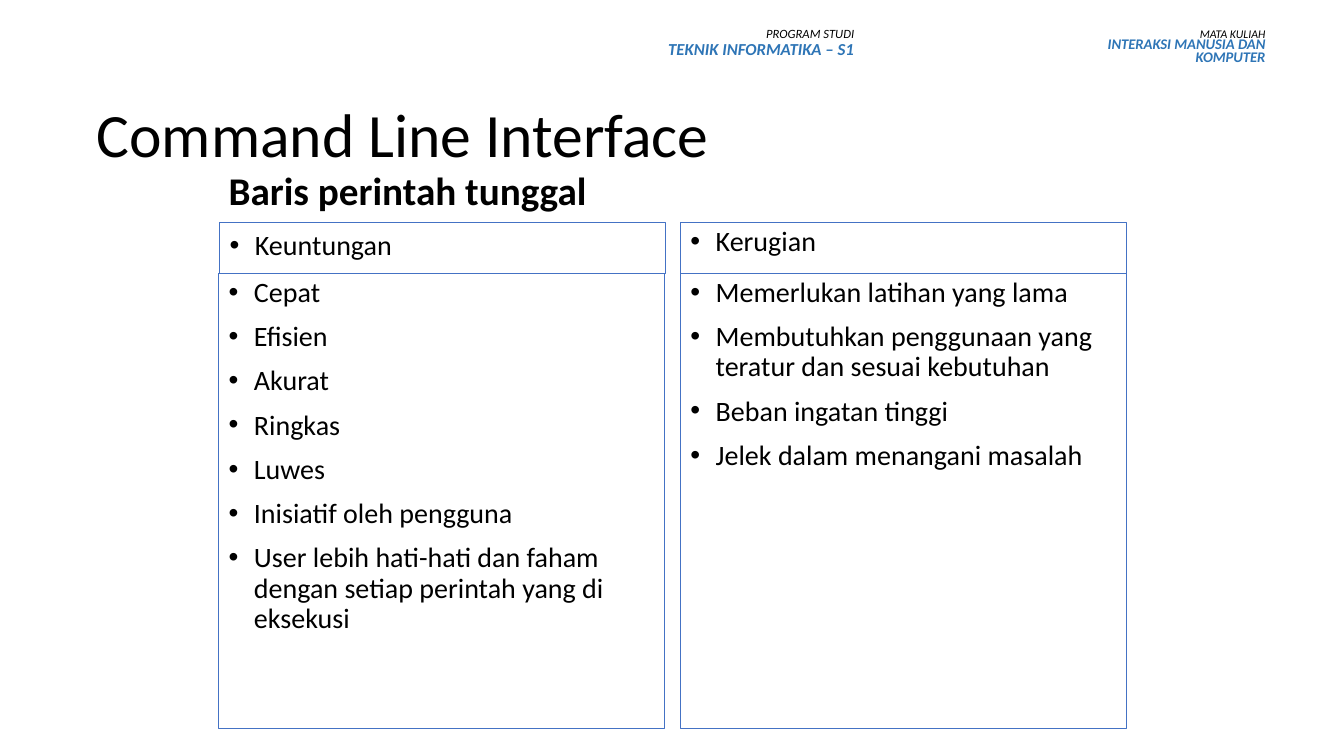
"""Build the Command Line Interface slide with its two bordered comparison columns."""
from dataclasses import dataclass
from typing import Any

from lxml.etree import SubElement
from pptx import Presentation
from pptx.dml.color import RGBColor
from pptx.enum.shapes import MSO_SHAPE
from pptx.enum.text import MSO_ANCHOR, PP_ALIGN
from pptx.oxml.ns import qn
from pptx.util import Inches, Pt

BLACK = "000000"
HEADER_BLUE = "2E75B6"
BORDER_BLUE = "4472C4"
COLUMN_WIDTH = 4.42
HEADING_TOP, HEADING_HEIGHT = 2.21, 0.5
LIST_HEIGHT = 4.52


@dataclass(frozen=True)
class Line:
    text: str
    size: float
    color: str = BLACK
    bold: bool = False
    italic: bool = False


@dataclass(frozen=True)
class Label:
    left: float
    top: float
    width: float
    height: float
    lines: tuple[Line, ...]
    spacing: float = 1.0
    anchor: MSO_ANCHOR = MSO_ANCHOR.TOP
    align: PP_ALIGN = PP_ALIGN.LEFT


@dataclass(frozen=True)
class Column:
    heading_left: float
    list_left: float
    heading: str
    heading_spacing: float
    items: tuple[str, ...]


def header(program: str, name: str, sizes: tuple[float, float]) -> tuple[Line, ...]:
    """Return the small caption and the bold blue name under it."""
    return (
        Line(program, sizes[0], italic=True),
        Line(name, sizes[1], HEADER_BLUE, bold=True, italic=True),
    )


LABELS = (
    Label(2.17, 1.58, 9, 0.67, (Line("Baris perintah tunggal", 28, bold=True),),
          0.9, MSO_ANCHOR.MIDDLE),
    Label(0.86, 0.82, 9, 1, (Line("Command Line Interface", 44),),
          anchor=MSO_ANCHOR.MIDDLE),
    Label(6.06, 0.22, 2.51, 0.56,
          header("PROGRAM STUDI", "TEKNIK INFORMATIKA – S1", (9, 12)),
          0.9, align=PP_ALIGN.RIGHT),
    Label(10.45, 0.25, 2.2, 0.48,
          header("MATA KULIAH", "INTERAKSI MANUSIA DAN KOMPUTER", (8.4, 10.5)),
          0.7, align=PP_ALIGN.RIGHT),
)

COLUMNS = (
    Column(2.18, 2.17, "Keuntungan", 1.0, (
        "Cepat",
        "Efisien",
        "Akurat",
        "Ringkas",
        "Luwes",
        "Inisiatif oleh pengguna",
        "User lebih hati-hati dan faham dengan setiap perintah yang di eksekusi",
    )),
    Column(6.75, 6.75, "Kerugian", 0.9, (
        "Memerlukan latihan yang lama",
        "Membutuhkan penggunaan yang teratur dan sesuai kebutuhan",
        "Beban ingatan tinggi",
        "Jelek dalam menangani masalah",
    )),
)


def rgb(value: str) -> RGBColor:
    """Turn a hex string into a colour."""
    return RGBColor.from_string(value)


def apply_format(target: Any, values: dict[str, Any]) -> None:
    """Set every named attribute on the target."""
    for name, value in values.items():
        setattr(target, name, value)


def add_bullet(para: Any) -> None:
    """Give a paragraph a hanging round bullet."""
    properties = para._p.get_or_add_pPr()
    properties.set("marL", str(Inches(0.25)))
    properties.set("indent", str(-Inches(0.25)))
    SubElement(properties, qn("a:buFont"), typeface="Arial")
    SubElement(properties, qn("a:buChar"), char="•")


def write_lines(box: Any, lines: tuple[Line, ...], spacing: float, anchor: MSO_ANCHOR,
                align: PP_ALIGN, bulleted: bool = False) -> None:
    """Fill a box with one paragraph per line."""
    frame = box.text_frame
    apply_format(frame, {"word_wrap": True, "vertical_anchor": anchor})
    for index, line in enumerate(lines):
        para = frame.add_paragraph() if index else frame.paragraphs[0]
        if bulleted:
            add_bullet(para)
        apply_format(para, {
            "alignment": align,
            "line_spacing": spacing,
            "space_before": Pt(10 if bulleted and index else 0),
        })
        span = para.add_run()
        span.text = line.text
        apply_format(span.font, {
            "name": "Calibri",
            "size": Pt(line.size),
            "bold": line.bold,
            "italic": line.italic,
        })
        span.font.color.rgb = rgb(line.color)


def add_label(page: Any, label: Label) -> None:
    """Draw a plain text label."""
    box = page.shapes.add_textbox(Inches(label.left), Inches(label.top),
                                  Inches(label.width), Inches(label.height))
    write_lines(box, label.lines, label.spacing, label.anchor, label.align)


def add_panel(page: Any, left: float, top: float, height: float,
              items: tuple[str, ...], spacing: float) -> None:
    """Draw a bordered rectangle holding a bulleted list."""
    box = page.shapes.add_shape(MSO_SHAPE.RECTANGLE, Inches(left), Inches(top),
                                Inches(COLUMN_WIDTH), Inches(height))
    box.shadow.inherit = False
    box.fill.background()
    box.line.color.rgb = rgb(BORDER_BLUE)
    box.line.width = Pt(0.75)
    lines = tuple(Line(item, 20) for item in items)
    write_lines(box, lines, spacing, MSO_ANCHOR.TOP, PP_ALIGN.LEFT, bulleted=True)


def add_column(page: Any, column: Column) -> None:
    """Draw a heading panel with its list panel below."""
    add_panel(page, column.heading_left, HEADING_TOP, HEADING_HEIGHT,
              (column.heading,), column.heading_spacing)
    add_panel(page, column.list_left, HEADING_TOP + HEADING_HEIGHT, LIST_HEIGHT,
              column.items, 0.9)


def main() -> None:
    """Build and save the deck."""
    deck = Presentation()
    apply_format(deck, {"slide_width": Inches(13.33), "slide_height": Inches(7.5)})
    page = deck.slides.add_slide(deck.slide_layouts[6])
    for label in LABELS:
        add_label(page, label)
    for column in COLUMNS:
        add_column(page, column)
    deck.save("out.pptx")


if __name__ == "__main__":
    main()
